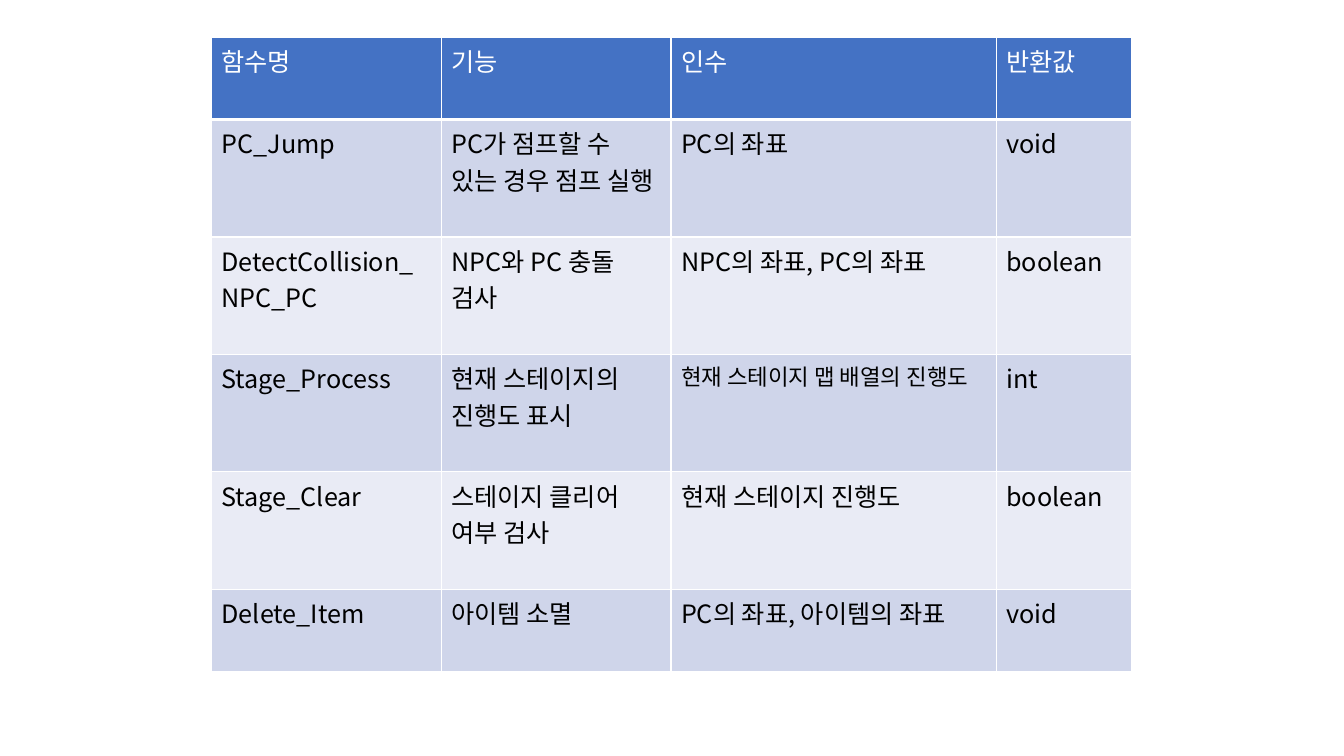
from lxml import etree
from pptx import Presentation
from pptx import util as u
from pptx.dml.color import RGBColor
from pptx.oxml import ns

FONT = "Noto Sans CJK KR"
COLORS = {
    "header": "4472C4",
    "odd": "CFD5EA",
    "even": "E9EBF5",
    "white": "FFFFFF",
    "black": "000000",
}
COLUMN_WIDTHS = [5.79, 5.79, 8.2, 3.4]
ROW_HEIGHTS = [2.08, 2.96, 2.96, 2.96, 2.96, 2.08]
FUNCTIONS = [
    ["함수명", "기능", "인수", "반환값"],
    ["PC_Jump", "PC가 점프할 수 있는 경우 점프 실행", "PC의 좌표", "void"],
    ["DetectCollision_NPC_PC", "NPC와 PC 충돌 검사", "NPC의 좌표, PC의 좌표", "boolean"],
    ["Stage_Process", "현재 스테이지의 진행도 표시", "현재 스테이지 맵 배열의 진행도", "int"],
    ["Stage_Clear", "스테이지 클리어 여부 검사", "현재 스테이지 진행도", "boolean"],
    ["Delete_Item", "아이템 소멸", "PC의 좌표, 아이템의 좌표", "void"],
]
SMALL_CELL = (3, 2)


def set_borders(cell, bottom_width):
    properties = cell._tc.get_or_add_tcPr()
    for side, width in (("L", 1), ("R", 1), ("T", 1), ("B", bottom_width)):
        line = etree.SubElement(properties, ns.qn(f"a:ln{side}"), w=str(u.Pt(width)))
        fill = etree.SubElement(line, ns.qn("a:solidFill"))
        etree.SubElement(fill, ns.qn("a:srgbClr"), val=COLORS["white"])


def write_cell(cell, content, size, color):
    cell.text_frame.text = content
    for run in cell.text_frame.paragraphs[0].runs:
        run.font.size = u.Pt(size)
        run.font.bold = False
        run.font.color.rgb = RGBColor.from_string(COLORS[color])
        run.font.name = FONT
        etree.SubElement(run.font._element, ns.qn("a:ea"), typeface=FONT)


def fill_cell(cell, color):
    cell.fill.solid()
    cell.fill.fore_color.rgb = RGBColor.from_string(COLORS[color])


def add_function_table(slide):
    frame = slide.shapes.add_table(
        len(FUNCTIONS), len(COLUMN_WIDTHS), u.Cm(5.33), u.Cm(0.93),
        u.Cm(sum(COLUMN_WIDTHS)), u.Cm(sum(ROW_HEIGHTS)),
    )
    table = frame.table
    for column, width in zip(table.columns, COLUMN_WIDTHS):
        column.width = u.Cm(width)
    for row, height in zip(table.rows, ROW_HEIGHTS):
        row.height = u.Cm(height)
    for row_index, values in enumerate(FUNCTIONS):
        is_header = row_index == 0
        band = "header" if is_header else "odd" if row_index % 2 else "even"
        for column_index, content in enumerate(values):
            cell = table.cell(row_index, column_index)
            size = 16 if (row_index, column_index) == SMALL_CELL else 18
            set_borders(cell, 3 if is_header else 1)
            fill_cell(cell, band)
            write_cell(cell, content, size, "white" if is_header else "black")


def main():
    presentation = Presentation()
    presentation.slide_width = u.Cm(33.87)
    presentation.slide_height = u.Cm(19.05)
    slide = presentation.slides.add_slide(presentation.slide_layouts[6])
    add_function_table(slide)
    presentation.save("out.pptx")


if __name__ == "__main__":
    main()
